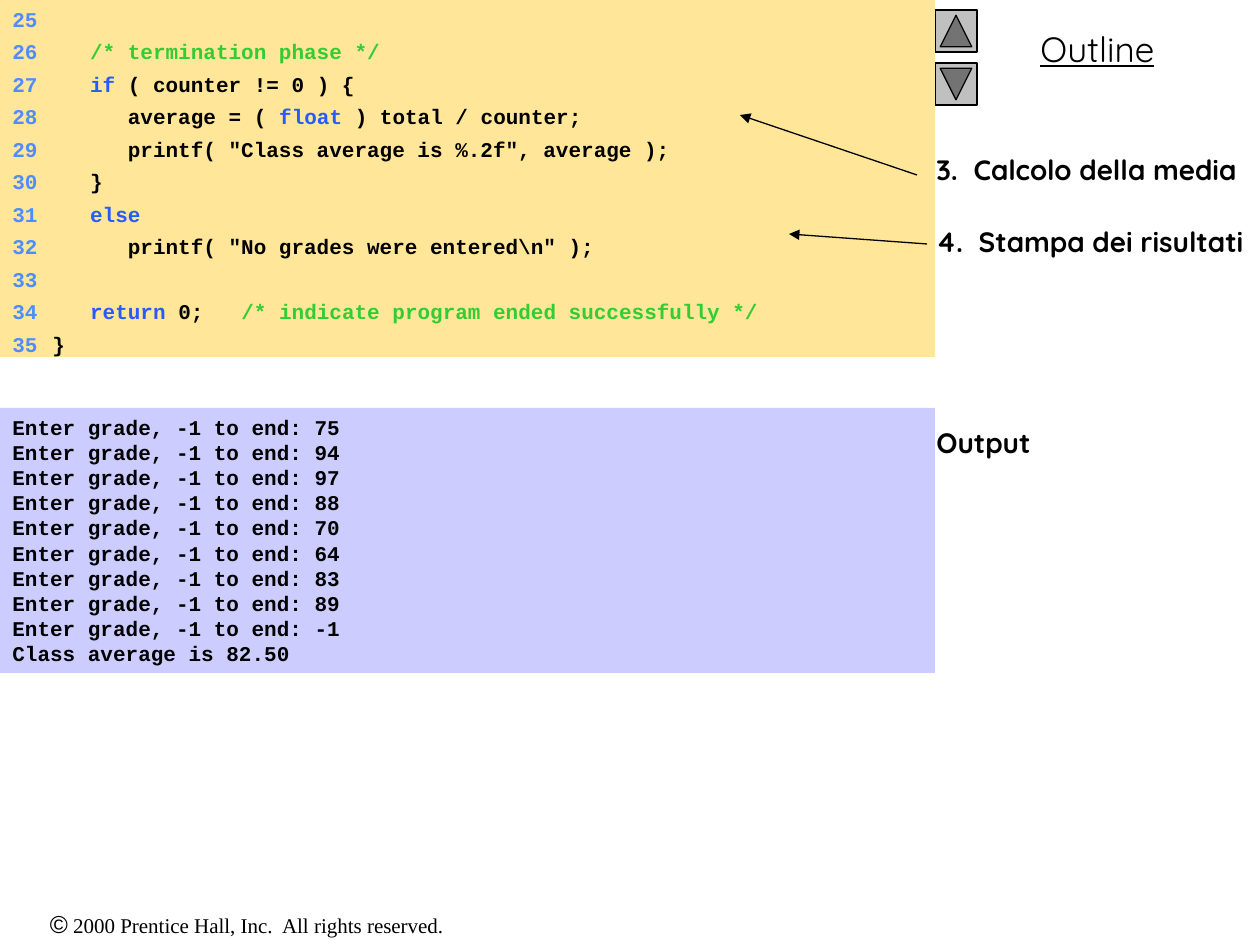
from lxml import etree
from pptx import Presentation
from pptx.dml.color import RGBColor
from pptx.enum.shapes import MSO_CONNECTOR, MSO_SHAPE
from pptx.enum.text import MSO_ANCHOR, PP_ALIGN
from pptx.oxml.ns import qn
from pptx.util import Emu, Pt

RECT = MSO_SHAPE.RECTANGLE
BUTTON = MSO_SHAPE.ACTION_BUTTON_BACK_OR_PREVIOUS
STRAIGHT = MSO_CONNECTOR.STRAIGHT
TOP = MSO_ANCHOR.TOP
LEFT, CENTER = PP_ALIGN.LEFT, PP_ALIGN.CENTER

BLACK, NUMBER, KEYWORD, COMMENT = "000000", "4D8DFF", "275AFF", "33CC33"
MONO, SANS = "Courier New", "Quicksand"
PANEL_W = 935
CODE_H = 357
FIRST_LINE = 25
TABS = ((19, "r"), (40, "l"))

CODE = [
    [],
    [("   /* termination phase */", COMMENT)],
    [("   if", KEYWORD), (" ( counter != 0 ) {", BLACK)],
    [("      average = ( ", BLACK), ("float", KEYWORD),
     (" ) total / counter;", BLACK)],
    [('      printf( "Class average is %.2f", average );', BLACK)],
    [("   }", BLACK)],
    [("   else", KEYWORD)],
    [('      printf( "No grades were entered\\n" );', BLACK)],
    [],
    [("   return", KEYWORD), (" 0;   ", BLACK),
     ("/* indicate program ended successfully */", COMMENT)],
    [("}", BLACK)],
]
GRADES = [75, 94, 97, 88, 70, 64, 83, 89, -1]
LABELS = [
    ("3.  Calcolo della media", 0),
    ("4.  Stampa dei risultati", 22),
    ("Output", 96),
]


def px(n):
    """Convert pixels to EMU."""
    return Emu(round(n * 914400 / 126))


def rgb(value):
    """Return the colour for a hex string."""
    return RGBColor.from_string(value)


def style(r, size, font, color=BLACK, bold=False, underline=False):
    """Format one run."""
    r.font.size = Pt(size)
    r.font.name = font
    r.font.bold = bold
    r.font.underline = underline
    r.font.color.rgb = rgb(color)


def add_run(p, text, *fmt):
    """Append a formatted run to a paragraph."""
    r = p.add_run()
    r.text = text
    style(r, *fmt)


def add_tabs(p):
    """Set the tab stops for line number and code."""
    tabs = etree.SubElement(p._p.get_or_add_pPr(), qn("a:tabLst"))
    for pos, align in TABS:
        etree.SubElement(tabs, qn("a:tab"), pos=str(px(pos)), algn=align)


def add_panel(slide, y, h, fill):
    """Add a full-width filled panel and return its text frame."""
    sp = slide.shapes.add_shape(RECT, 0, px(y), px(PANEL_W), px(h))
    sp.shadow.inherit = False
    sp.fill.solid()
    sp.fill.fore_color.rgb = rgb(fill)
    sp.line.fill.background()
    tf = sp.text_frame
    tf.word_wrap = True
    tf.vertical_anchor = TOP
    return tf


def add_text(slide, x, y, w, h):
    """Add a wrapping text box and return its text frame."""
    tf = slide.shapes.add_textbox(px(x), px(y), px(w), px(h)).text_frame
    tf.word_wrap = True
    return tf


def add_code(slide):
    """Add one numbered panel for each line of code."""
    for i, parts in enumerate(CODE):
        y = round(i * CODE_H / len(CODE))
        bottom = round((i + 1) * CODE_H / len(CODE))
        p = add_panel(slide, y, bottom - y, "FFE699").paragraphs[0]
        p.alignment = LEFT
        add_tabs(p)
        add_run(p, f"\t{FIRST_LINE + i}\t", 12, MONO, NUMBER, True)
        for text, color in parts:
            add_run(p, text, 12, MONO, color, True)


def add_output(slide):
    """Add the panel with the program's output."""
    lines = [f"Enter grade, -1 to end: {grade}" for grade in GRADES]
    tf = add_panel(slide, 408, 265, "CCCCFF")
    tf.text = "\n".join(lines + ["Class average is 82.50"])
    for p in tf.paragraphs:
        p.alignment = LEFT
        style(p.runs[0], 12, MONO, BLACK, True)


def add_labels(slide):
    """Add the outline entries beside the panels."""
    tf = add_text(slide, 924, 146, 336, 330)
    tf.text = "\n".join(text for text, _ in LABELS)
    for p, (_, gap) in zip(tf.paragraphs, LABELS):
        if gap:
            p.space_before = Pt(gap)
        style(p.runs[0], 16, SANS, BLACK, True)


def add_button(slide, y, rotation):
    """Add a navigation button turned to its direction."""
    sp = slide.shapes.add_shape(BUTTON, px(PANEL_W), px(y), px(42), px(42))
    sp.rotation = rotation
    sp.shadow.inherit = False
    sp.fill.solid()
    sp.fill.fore_color.rgb = rgb("C0C0C0")
    sp.line.color.rgb = rgb(BLACK)
    sp.line.width = Pt(0.75)


def add_arrow(slide, x1, y1, x2, y2):
    """Add a thin arrow pointing at its second end."""
    c = slide.shapes.add_connector(STRAIGHT, px(x1), px(y1), px(x2), px(y2))
    c.line.color.rgb = rgb(BLACK)
    c.line.width = Pt(0.75)
    etree.SubElement(c.line._get_or_add_ln(), qn("a:tailEnd"), type="triangle")
    etree.SubElement(c._element.spPr, qn("a:effectLst"))


def main():
    """Build the slide and save it."""
    prs = Presentation()
    prs.slide_width, prs.slide_height = px(1260), px(945)
    slide = prs.slides.add_slide(prs.slide_layouts[6])

    p = add_text(slide, 0, 903, 494, 42).paragraphs[0]
    p.alignment = CENTER
    add_run(p, "©", 14, "Arial")
    add_run(p, " 2000 Prentice Hall, Inc.  All rights reserved.",
            12, "Times New Roman")

    p = add_text(slide, PANEL_W, 21, 325, 56).paragraphs[0]
    p.alignment = CENTER
    add_run(p, "Outline", 20, SANS, BLACK, False, True)

    add_button(slide, 10, 90)
    add_button(slide, 63, 270)
    add_labels(slide)
    add_code(slide)
    add_output(slide)
    add_arrow(slide, 917, 175, 740, 115)
    add_arrow(slide, 927, 244, 789, 234)
    prs.save("out.pptx")


if __name__ == "__main__":
    main()
